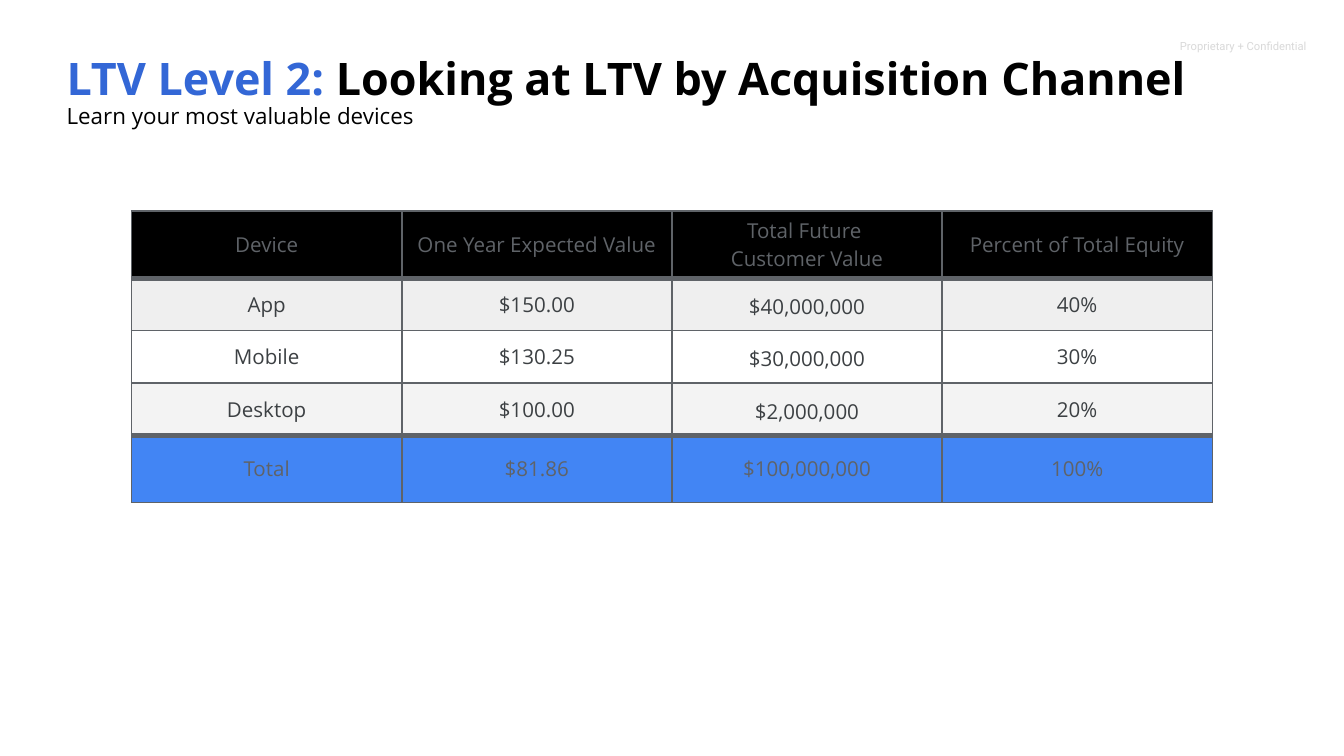
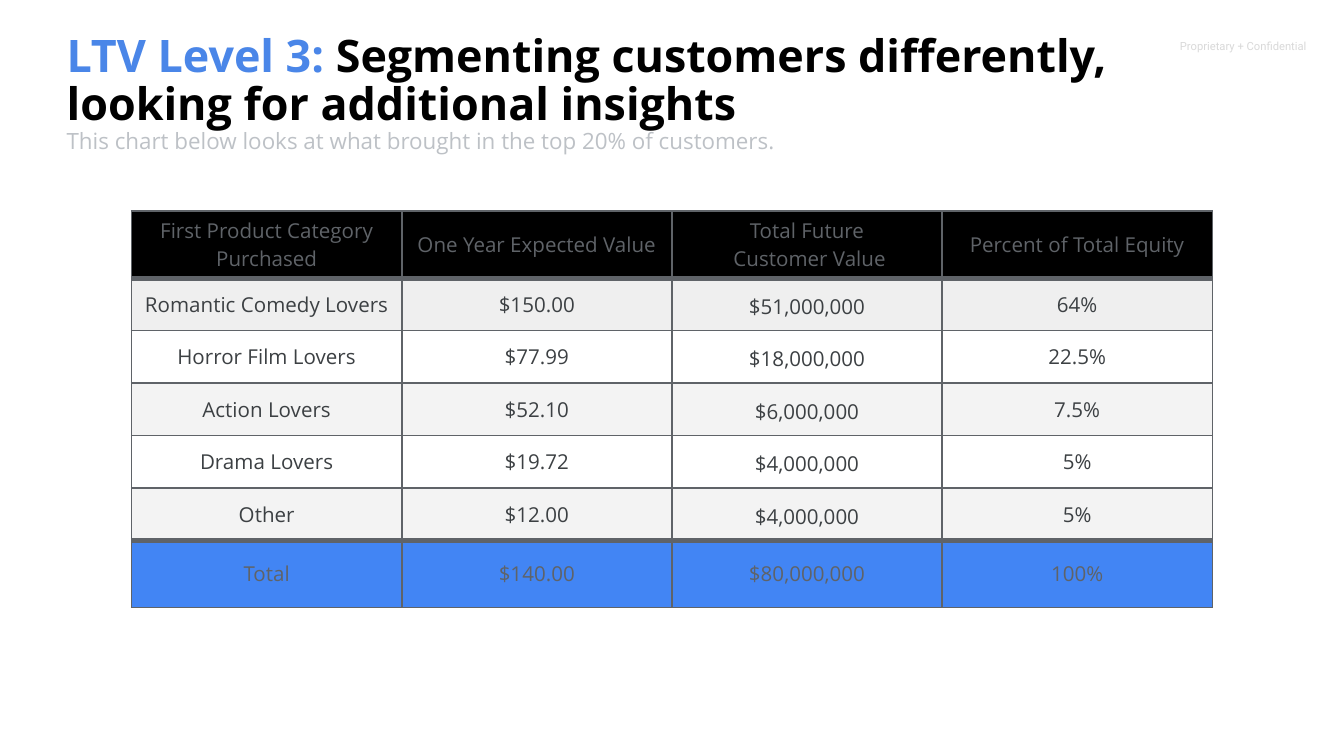
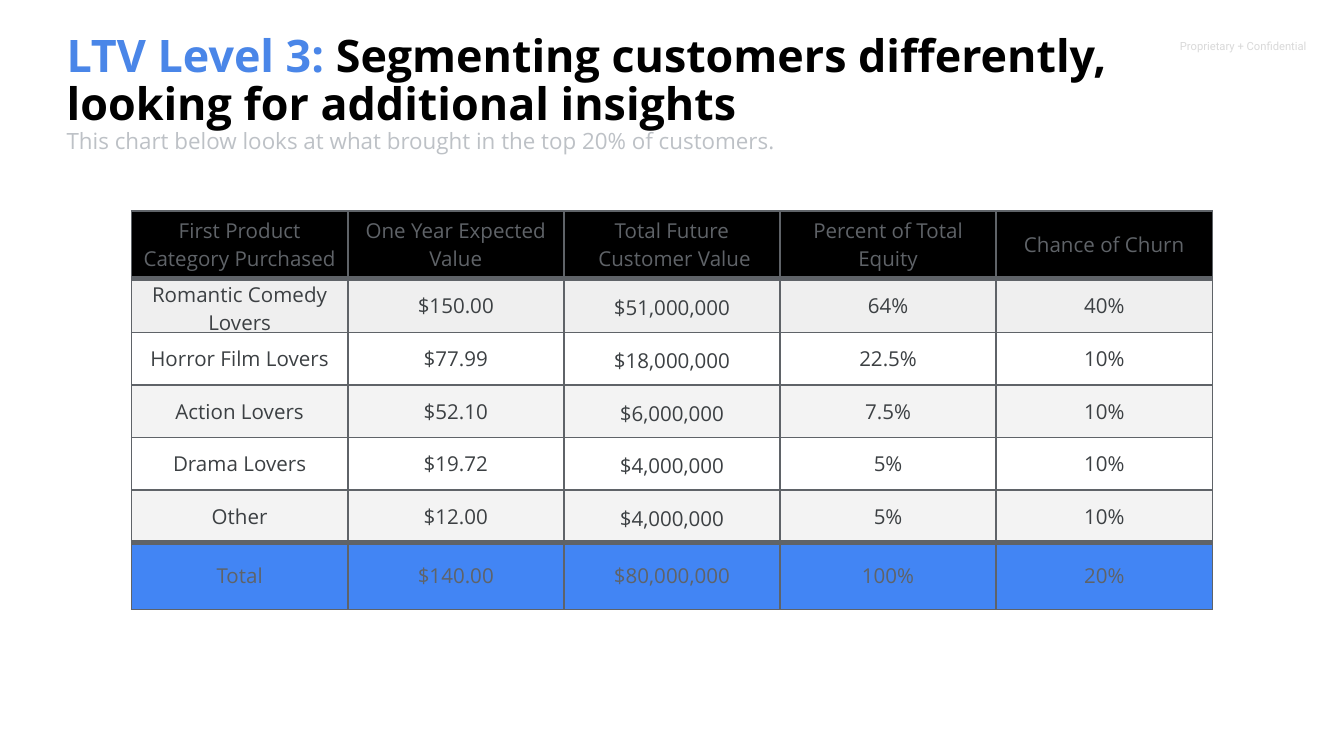
from lxml.etree import SubElement
from pptx import Presentation
from pptx.dml.color import RGBColor
from pptx.enum.text import MSO_ANCHOR, PP_ALIGN
from pptx.oxml.ns import qn
from pptx.util import Pt

COLORS = {
    "black": "000000",
    "white": "FFFFFF",
    "level_two": "3367D6",
    "level_three": "4A86E8",
    "muted": "BDC1C6",
    "notice": "D9D9D9",
    "gray": "5F6368",
    "body": "3C4043",
    "first_row": "EFEFEF",
    "band": "F3F3F3",
    "total": "4285F4",
}
FONT = "Open Sans"
NOTICE_BOX = (625, 17.3, 95, 23.8)
TABLE_BOX = (70.5, 113, 579)
OUTER_ROW_HEIGHT, BODY_ROW_HEIGHT = 36, 28.1
THIN, THICK = 1, 3
VALUE_COLUMN = 2

DEVICE_ROWS = [
    ["Device", "One Year Expected Value", "Total Future \nCustomer Value", "Percent of Total Equity"],
    ["App", "$150.00", "$40,000,000", "40%"],
    ["Mobile", "$130.25", "$30,000,000", "30%"],
    ["Desktop", "$100.00", "$2,000,000", "20%"],
    ["Total", "$81.86", "$100,000,000", "100%"],
]
CATEGORY_ROWS = [
    ["First Product Category Purchased", "One Year Expected Value", "Total Future\n Customer Value",
     "Percent of Total Equity"],
    ["Romantic Comedy Lovers", "$150.00", "$51,000,000", "64%"],
    ["Horror Film Lovers", "$77.99", "$18,000,000", "22.5%"],
    ["Action Lovers", "$52.10", "$6,000,000", "7.5%"],
    ["Drama Lovers", "$19.72", "$4,000,000", "5%"],
    ["Other", "$12.00", "$4,000,000", "5%"],
    ["Total", "$140.00", "$80,000,000", "100%"],
]
CHURN_COLUMN = ["Chance of Churn", "40%", "10%", "10%", "10%", "10%", "20%"]
CHURN_ROWS = [row + [churn] for row, churn in zip(CATEGORY_ROWS, CHURN_COLUMN)]

DEVICE_HEADING = {
    "box": (33, 28.8, 654.5, 32.4),
    "level": "LTV Level 2:",
    "level_color": "level_two",
    "title": " Looking at LTV by Acquisition Channel",
    "subtitle": "Learn your most valuable devices",
    "subtitle_color": "black",
}
SEGMENT_HEADING = {
    "box": (33, 16.6, 654.5, 18),
    "level": "LTV Level 3:",
    "level_color": "level_three",
    "title": " Segmenting customers differently, looking for additional insights",
    "subtitle": "This chart below looks at what brought in the top 20% of customers.",
    "subtitle_color": "muted",
}


def format_run(run, size, color, font=FONT, bold=False):
    """Set the typeface, size, weight and colour of a run."""
    run.font.name = font
    run.font.size = Pt(size)
    run.font.bold = bold
    run.font.color.rgb = RGBColor.from_string(COLORS[color])


def add_text_box(slide, box, horizontal_inset, vertical_inset):
    """Add a wrapping text box and return its text frame."""
    text_frame = slide.shapes.add_textbox(*map(Pt, box)).text_frame
    text_frame.word_wrap = True
    text_frame.margin_left = text_frame.margin_right = Pt(horizontal_inset)
    text_frame.margin_top = text_frame.margin_bottom = Pt(vertical_inset)
    return text_frame


def add_notice(slide, box):
    """Add the confidentiality notice in the top right corner."""
    text_frame = add_text_box(slide, box, 7.2, 7.2)
    text_frame.text = "Proprietary + Confidential"
    format_run(text_frame.paragraphs[0].runs[0], 6, "notice", "Roboto")


def add_heading(slide, box, level, level_color, title, subtitle, subtitle_color):
    """Add the two-colour title with its subtitle."""
    text_frame = add_text_box(slide, box, 2.7, 1.4)
    title_paragraph = text_frame.paragraphs[0]
    for text, color in ((level, level_color), (title, "black")):
        run = title_paragraph.add_run()
        run.text = text
        format_run(run, 24, color, bold=True)
    subtitle_paragraph = text_frame.add_paragraph()
    subtitle_paragraph.text = subtitle
    format_run(subtitle_paragraph.runs[0], 12, subtitle_color)
    for paragraph in text_frame.paragraphs:
        paragraph.line_spacing = 0.9


def set_borders(cell, top, bottom):
    """Draw the four gray cell borders with the given top and bottom widths."""
    properties = cell._tc.get_or_add_tcPr()
    widths = {"a:lnL": THIN, "a:lnR": THIN, "a:lnT": top, "a:lnB": bottom}
    for position, (tag, width) in enumerate(widths.items()):
        line = SubElement(properties, qn(tag), w=str(Pt(width)))
        fill = SubElement(line, qn("a:solidFill"))
        SubElement(fill, qn("a:srgbClr"), val=COLORS["gray"])
        properties.insert(position, line)


def fill_cell(cell, text, fill, color, inset, line_spacing):
    """Write centred text into a filled cell."""
    cell.fill.solid()
    cell.fill.fore_color.rgb = RGBColor.from_string(COLORS[fill])
    cell.vertical_anchor = MSO_ANCHOR.MIDDLE
    cell.margin_left = cell.margin_right = Pt(inset)
    cell.margin_top = cell.margin_bottom = Pt(inset)
    cell.text_frame.text = text
    for paragraph in cell.text_frame.paragraphs:
        paragraph.alignment = PP_ALIGN.CENTER
        paragraph.line_spacing = line_spacing
        format_run(paragraph.runs[0], 11, color)


def add_value_table(slide, box, rows):
    """Add a table with a black header, banded body and blue total row."""
    left, top, width = box
    last = len(rows) - 1
    heights = [OUTER_ROW_HEIGHT, *[BODY_ROW_HEIGHT] * (last - 1), OUTER_ROW_HEIGHT]
    fills = ["black", "first_row", *["white" if index % 2 == 0 else "band" for index in range(2, last)], "total"]
    table = slide.shapes.add_table(
        len(rows), len(rows[0]), Pt(left), Pt(top), Pt(width), Pt(sum(heights))
    ).table
    for row_index, values in enumerate(rows):
        table.rows[row_index].height = Pt(heights[row_index])
        is_body = 0 < row_index < last
        top_width = THICK if row_index in (1, last) else THIN
        bottom_width = THICK if row_index in (0, last - 1) else THIN
        for column_index, text in enumerate(values):
            cell = table.cell(row_index, column_index)
            is_value = is_body and column_index == VALUE_COLUMN
            fill_cell(cell, text, fills[row_index], "body" if is_body else "gray",
                      0.7 if is_value else 1.4, 1.15 if is_value else 1.0)
            set_borders(cell, top_width, bottom_width)


def add_value_slide(presentation, heading, rows):
    """Add one slide with notice, table and heading."""
    slide = presentation.slides.add_slide(presentation.slide_layouts[6])
    add_notice(slide, NOTICE_BOX)
    add_value_table(slide, TABLE_BOX, rows)
    add_heading(slide, **heading)


def main():
    """Build and save the presentation."""
    presentation = Presentation()
    presentation.slide_width, presentation.slide_height = Pt(720), Pt(405)
    add_value_slide(presentation, DEVICE_HEADING, DEVICE_ROWS)
    add_value_slide(presentation, SEGMENT_HEADING, CATEGORY_ROWS)
    add_value_slide(presentation, SEGMENT_HEADING, CHURN_ROWS)
    presentation.save("out.pptx")


if __name__ == "__main__":
    main()
